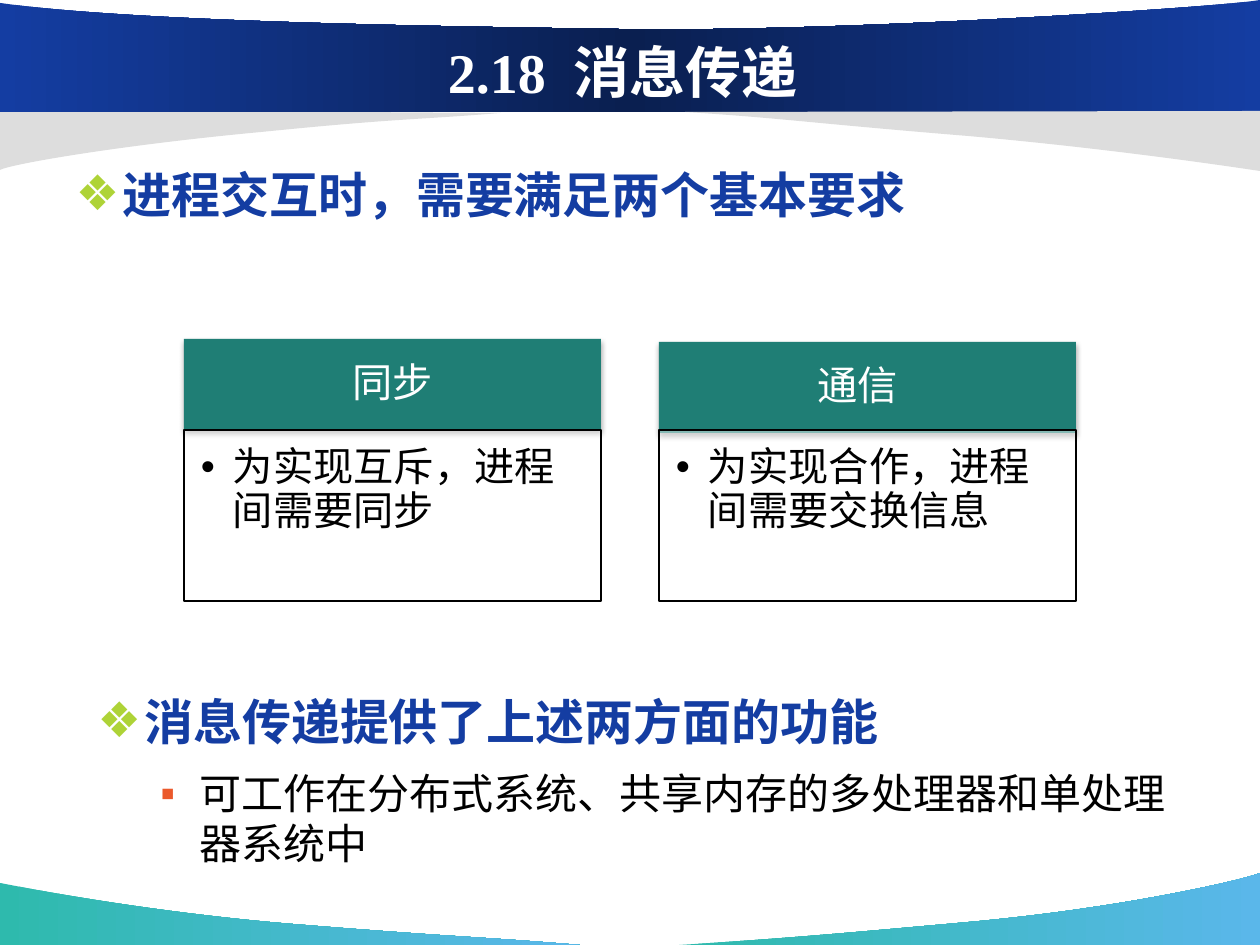
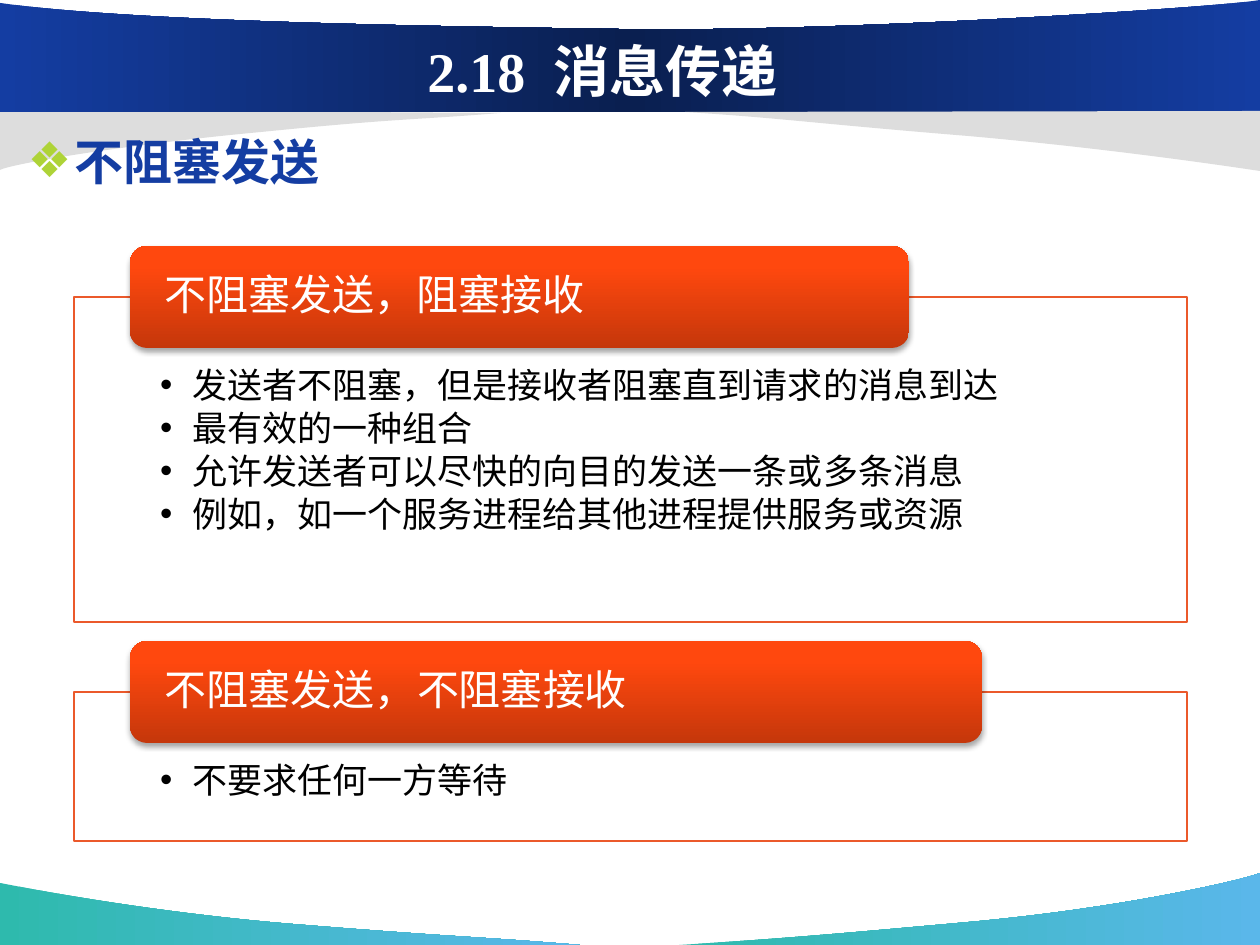
from lxml import etree
from pptx import Presentation
from pptx.dml.color import RGBColor
from pptx.enum.shapes import MSO_SHAPE
from pptx.enum.text import MSO_ANCHOR, MSO_AUTO_SIZE, PP_ALIGN
from pptx.oxml.ns import qn
from pptx.util import Emu, Pt

RECTANGLE, ROUNDED = MSO_SHAPE.RECTANGLE, MSO_SHAPE.ROUNDED_RECTANGLE
TOP, MIDDLE = MSO_ANCHOR.TOP, MSO_ANCHOR.MIDDLE
LEFT, CENTER = PP_ALIGN.LEFT, PP_ALIGN.CENTER
NO_AUTOFIT = MSO_AUTO_SIZE.NONE
PIXEL = Emu(914400) / 126
COLOURS = {
    "white": "FFFFFF", "black": "000000", "blue": "143DA2", "navy": "0A1F50",
    "grey": "DDDDDD", "teal": "2EBAAD", "sky": "5AB7EA", "lime": "AED337",
    "orange": "EB592B", "green": "1F7E75", "rust": "C5370B", "flame": "FF480E",
}


def paint(shape, stops, angle=0, opacity=100, shadow=False, outline=None):
    if len(stops) == 1:
        shape.fill.solid()
        shape.fill.fore_color.rgb = RGBColor.from_string(COLOURS[stops[0][1]])
        if opacity < 100:
            colour = shape.element.spPr.find(qn("a:solidFill"))[0]
            etree.SubElement(colour, qn("a:alpha"), val=str(opacity * 1000))
    else:
        shape.fill.gradient()
        shape.fill.gradient_angle = angle
        stop_list = shape.element.spPr.find(qn("a:gradFill")).find(qn("a:gsLst"))
        for old_stop in list(stop_list):
            stop_list.remove(old_stop)
        for position, name in stops:
            stop = etree.SubElement(stop_list, qn("a:gs"), pos=str(position * 1000))
            etree.SubElement(stop, qn("a:srgbClr"), val=COLOURS[name])
    if outline:
        shape.line.color.rgb = RGBColor.from_string(COLOURS[outline])
        shape.line.width = Pt(0.75)
    else:
        shape.line.fill.background()
    shape.shadow.inherit = False
    if shadow:
        effects = shape.element.spPr.find(qn("a:effectLst"))
        outer = etree.SubElement(effects, qn("a:outerShdw"), blurRad=str(Pt(3.1)),
                                 dist=str(Pt(1.8)), dir="5400000", rotWithShape="0")
        colour = etree.SubElement(outer, qn("a:srgbClr"), val=COLOURS["black"])
        etree.SubElement(colour, qn("a:alpha"), val="35000")


def format_paragraph(paragraph, size, colour, bold=False, font="Arial", align=LEFT,
                     bullet=None, bullet_colour="black", margin=0, hanging=0):
    paragraph.alignment = align
    if bullet:
        properties = paragraph._p.get_or_add_pPr()
        properties.set("marL", str(round(margin * PIXEL)))
        properties.set("indent", str(round(-hanging * PIXEL)))
        bullet_fill = etree.SubElement(properties, qn("a:buClr"))
        etree.SubElement(bullet_fill, qn("a:srgbClr"), val=COLOURS[bullet_colour])
        etree.SubElement(properties, qn("a:buFont"), typeface="Arial")
        etree.SubElement(properties, qn("a:buChar"), char=bullet)
    for run in paragraph.runs:
        run.font.name = font
        run.font.size = Pt(size)
        run.font.bold = bold
        run.font.color.rgb = RGBColor.from_string(COLOURS[colour])


HEADING = dict(size=28, colour="blue", bold=True, bullet="❖", bullet_colour="lime",
               margin=47, hanging=47)
DETAIL = dict(size=24, colour="black", bullet="▪", bullet_colour="orange",
              margin=102, hanging=39)
ITEM = dict(colour="black", bullet="•", margin=32, hanging=32)

presentation = Presentation()
presentation.slide_width = round(1260 * PIXEL)
presentation.slide_height = round(945 * PIXEL)

pages = [
    ((56, 7, 1134, 129), (63, 146, 1134, 106), "进程交互时，需要满足两个基本要求"),
    ((109, 31, 987, 78), (15, 113, 1134, 683), "不阻塞发送"),
]
slides = []
for title_bounds, body_bounds, heading in pages:
    slide = presentation.slides.add_slide(presentation.slide_layouts[1])
    slides.append(slide)
    title, body = slide.placeholders[0], slide.placeholders[1]
    for placeholder, bounds in ((title, title_bounds), (body, body_bounds)):
        placeholder.left, placeholder.top, placeholder.width, placeholder.height = [
            round(value * PIXEL) for value in bounds]
        placeholder.text_frame.auto_size = NO_AUTOFIT
    title.text_frame.vertical_anchor = MIDDLE
    paragraph = title.text_frame.paragraphs[0]
    for part in ("2.18", " ", "消息传递"):
        paragraph.add_run().text = part
    format_paragraph(paragraph, 32, "white", bold=True, font="Times New Roman", align=CENTER)
    paragraph.runs[1]._r.get_or_add_rPr().set("spc", "800")
    body.text_frame.text = heading
    paragraph = body.text_frame.paragraphs[0]
    paragraph.line_spacing = 1.2
    paragraph.space_before = Pt(0)
    format_paragraph(paragraph, **HEADING)

footer_stops = [(0, "teal"), (100, "sky")]
title_stops = [(0, "blue"), (50, "navy"), (100, "blue")]
bands = [
    (footer_stops, (580, 945), [(484, 937), (451, 937), (292, 924),
                                (134, 911), (1, 883), (0, 883)], [(0, 945)]),
    (footer_stops, (679, 945), [(774, 939), (814, 936), (969, 922),
                                (1124, 908), (1247, 879), (1260, 873)], [(1260, 945)]),
    ([(0, "grey")], (501, 113), [(417, 120), (401, 118), (262, 132),
                                 (122, 145), (11, 164), (0, 170)], [(0, 110)]),
    (title_stops, (1260, 0), [(1215, 8), (823, 33), (614, 29),
                              (404, 26), (127, 21), (0, 3)], [(0, 112), (1260, 112)]),
    ([(0, "grey")], (685, 112), [(781, 118), (809, 123), (968, 136),
                                 (1126, 150), (1259, 171), (1260, 171)], [(1260, 111)]),
]
master_tree = presentation.slide_master.shapes.element
for index, (stops, start, curves, corners) in enumerate(bands):
    builder = slides[0].shapes.build_freeform(*start, scale=PIXEL)
    builder.add_line_segments(curves + corners, close=True)
    band = builder.convert_to_shape()
    segments = list(band.element.spPr.iter(qn("a:lnTo")))
    for first in (0, 3):
        curve = etree.Element(qn("a:cubicBezTo"))
        segments[first].addprevious(curve)
        for segment in segments[first:first + 3]:
            curve.append(segment[0])
            segment.getparent().remove(segment)
    paint(band, stops)
    band.element.nvSpPr.cNvPr.set("id", str(101 + index))
    master_tree.insert(2 + index, band.element)

requirement_slide, sending_slide = slides
white_fill, green_fill = [(0, "white")], [(0, "green")]
flame_stops = [(0, "rust"), (80, "flame"), (100, "flame")]
boxes = []
for left, header_top, right_inset, name, reason in [
    (184, 339, 23, "同步", "为实现互斥，进程间需要同步"),
    (659, 342, 42, "通信", "为实现合作，进程间需要交换信息"),
]:
    boxes.append((requirement_slide, RECTANGLE, (left, header_top, 417, 91),
                  dict(stops=green_fill, shadow=True), (23, 13, right_inset, 13), MIDDLE,
                  [name], dict(size=23, colour="white", align=CENTER)))
    boxes.append((requirement_slide, RECTANGLE, (left, 430, 417, 171),
                  dict(stops=white_fill, opacity=46, outline="black"), (17, 17, 23, 25), TOP,
                  [reason], dict(ITEM, size=23)))
for top, height, label_width, name, points in [
    (297, 325, 779, "不阻塞发送，阻塞接收", [
        "发送者不阻塞，但是接收者阻塞直到请求的消息到达",
        "最有效的一种组合",
        "允许发送者可以尽快的向目的发送一条或多条消息",
        "例如，如一个服务进程给其他进程提供服务或资源"]),
    (692, 149, 852, "不阻塞发送，不阻塞接收", ["不要求任何一方等待"]),
]:
    boxes.append((sending_slide, RECTANGLE, (74, top, 1113, height),
                  dict(stops=white_fill, opacity=90, outline="orange"), (86, 71, 87, 20), TOP,
                  points, dict(ITEM, size=20)))
    boxes.append((sending_slide, ROUNDED, (130, top - 51, label_width, 102),
                  dict(stops=flame_stops, angle=90, shadow=True), (30, 0, 30, 0), MIDDLE,
                  [name], dict(size=24, colour="white")))

for slide, kind, bounds, look, insets, anchor, lines, text_style in boxes:
    box = slide.shapes.add_shape(kind, *[round(value * PIXEL) for value in bounds])
    paint(box, **look)
    frame = box.text_frame
    frame.word_wrap = True
    frame.vertical_anchor = anchor
    frame.margin_left, frame.margin_top, frame.margin_right, frame.margin_bottom = [
        round(value * PIXEL) for value in insets]
    frame.text = "\n".join(lines)
    for paragraph in frame.paragraphs:
        paragraph.line_spacing = 0.9
        paragraph.space_after = Pt(3)
        format_paragraph(paragraph, **text_style)

summary = requirement_slide.shapes.add_textbox(
    *[round(value * PIXEL) for value in (85, 685, 1134, 208)])
summary.text_frame.word_wrap = True
summary.text_frame.text = "消息传递提供了上述两方面的功能\n可工作在分布式系统、共享内存的多处理器和单处理器系统中"
function_line, scope_line = summary.text_frame.paragraphs
format_paragraph(function_line, **HEADING)
scope_line.level = 1
scope_line.space_before = Pt(10)
format_paragraph(scope_line, **DETAIL)

presentation.save("out.pptx")
